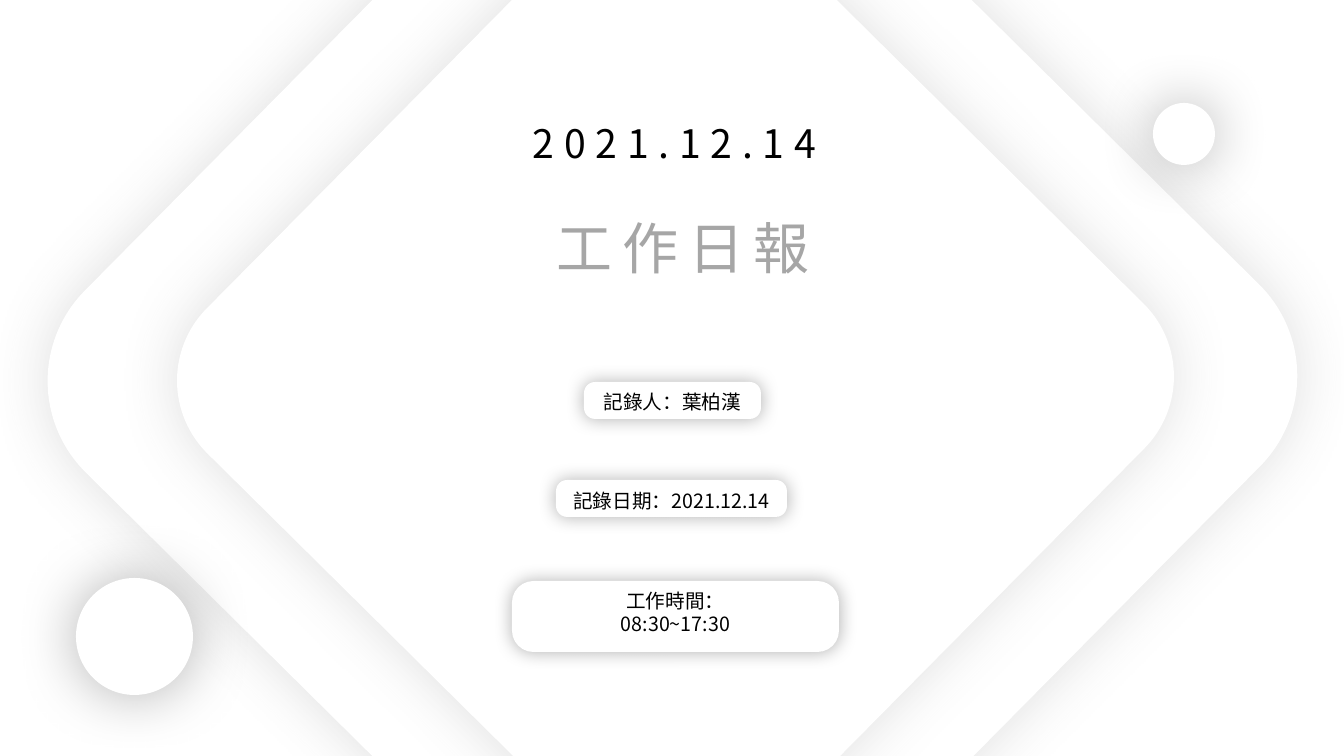
import collections

import lxml.etree
import pptx
import pptx.dml.color
import pptx.enum.shapes
import pptx.enum.text
import pptx.oxml.ns
import pptx.util

Box = collections.namedtuple("Box", "left top width height")

EMU_PER_PX = 914400 / 100.8
SLIDE = Box(0, 0, 1344, 756)
FONT = "Noto Sans CJK SC"
COLORS = {"paper": "FFFFFF", "ink": "000000", "title": "A6A6A6", "soft_shadow": "595959"}
ROUNDED = pptx.enum.shapes.MSO_SHAPE.ROUNDED_RECTANGLE
OVAL = pptx.enum.shapes.MSO_SHAPE.OVAL


def px(length):
    return pptx.util.Emu(round(length * EMU_PER_PX))


def rgb(name):
    return pptx.dml.color.RGBColor.from_string(COLORS[name])


def inside(box, left, top, width, height):
    return Box(box.left + left, box.top + top, width, height)


def add_child(parent, tag, **attributes):
    child = lxml.etree.SubElement(parent, pptx.oxml.ns.qn(tag))
    for name, value in attributes.items():
        child.set(name, str(value))
    return child


def add_raised(shapes, kind, box, shadow_color, opacity, blur):
    shape = shapes.add_shape(kind, *map(px, box))
    shape.fill.solid()
    shape.fill.fore_color.rgb = rgb("paper")
    shape.line.fill.background()
    shape.shadow.inherit = False
    effects = shape._element.spPr.find(pptx.oxml.ns.qn("a:effectLst"))
    shadow = add_child(effects, "a:outerShdw", blurRad=pptx.util.Pt(blur),
                       dist=0, dir=0, algn="ctr", rotWithShape=0)
    color = add_child(shadow, "a:srgbClr", val=COLORS[shadow_color])
    add_child(color, "a:alpha", val=opacity * 1000)
    return shape


def write(shape, text, size, color, spacing=0):
    frame = shape.text_frame
    frame.text = text
    frame.word_wrap = True
    frame.auto_size = pptx.enum.text.MSO_AUTO_SIZE.SHAPE_TO_FIT_TEXT
    frame.vertical_anchor = pptx.enum.text.MSO_ANCHOR.TOP
    frame.margin_top = px(5 + round(size * 0.17))
    frame.margin_bottom = 0
    for paragraph in frame.paragraphs:
        paragraph.alignment = pptx.enum.text.PP_ALIGN.CENTER
        paragraph.line_spacing = pptx.util.Pt(round(size * 1.17, 1))
        for run in paragraph.runs:
            run.font.size = pptx.util.Pt(size)
            run.font.name = FONT
            run.font.color.rgb = rgb(color)
            properties = run.font._element
            add_child(properties, "a:ea", typeface=FONT)
            if spacing:
                properties.set("spc", str(spacing * 100))


def add_backdrop(slide, box):
    for left, top, side in ((193, -101, 959), (293, -4, 765)):
        diamond = add_raised(slide.shapes, ROUNDED, inside(box, left, top, side, side),
                             "soft_shadow", 19, 43)
        diamond.adjustments[0] = 0.134
        diamond.rotation = 44.7


def add_heading(slide, box):
    date = slide.shapes.add_textbox(*map(px, inside(box, 0, 0, 813, 57)))
    write(date, "2021.12.14", 28, "ink", spacing=7)
    title = slide.shapes.title
    title.left, title.top, title.width, title.height = map(px, inside(box, 176, 93, 479, 78))
    write(title, "工作日報", 40, "title", spacing=7)
    date._element.addnext(title._element)


def add_circles(slide, box):
    for left, top, diameter in ((76, 578, 117), (1153, 103, 62)):
        add_raised(slide.shapes, OVAL, inside(box, left, top, diameter, diameter), "ink", 30, 43)


def add_badge(slide, box, text, overhang):
    group = slide.shapes.add_group_shape()
    plate = add_raised(group.shapes, ROUNDED, box, "ink", 30, 13)
    plate.adjustments[0] = 0.302
    label_height = 11 + 23 * len(text.split("\n"))
    label_box = inside(box, -overhang, 2, box.width + 2 * overhang, label_height)
    label = group.shapes.add_textbox(*map(px, label_box))
    write(label, text, 14, "ink")


def add_cover(slide, box):
    add_backdrop(slide, box)
    add_heading(slide, inside(box, 268, 110, 813, 171))
    add_circles(slide, box)
    add_badge(slide, inside(box, 584, 382, 177, 37), "記錄人：葉柏漢", 17)
    add_badge(slide, inside(box, 556, 480, 231, 37), "記錄日期：2021.12.14", 6)
    add_badge(slide, inside(box, 512, 581, 327, 71), "工作時間：\n08:30~17:30", 8)


def main():
    presentation = pptx.Presentation()
    presentation.slide_width = px(SLIDE.width)
    presentation.slide_height = px(SLIDE.height)
    slide = presentation.slides.add_slide(presentation.slide_layouts.get_by_name("Title Only"))
    slide.background.fill.solid()
    slide.background.fill.fore_color.rgb = rgb("paper")
    add_cover(slide, SLIDE)
    presentation.save("out.pptx")


if __name__ == "__main__":
    main()
